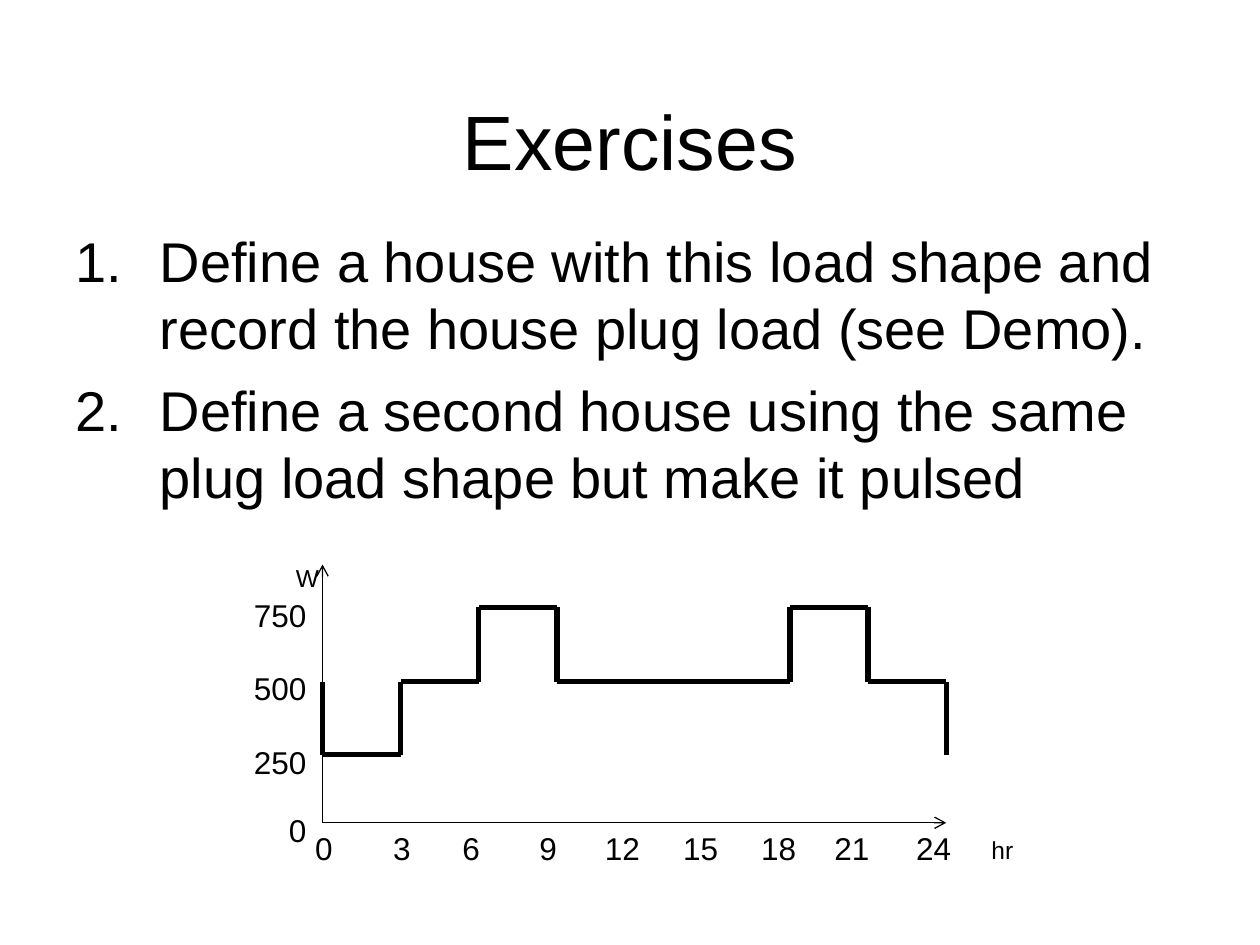
"""Build the Exercises slide with its daily plug load shape."""
import itertools

import lxml.etree
import pptx
import pptx.dml.color
import pptx.enum.shapes
import pptx.enum.text
import pptx.oxml.ns
import pptx.util

Inches = pptx.util.Inches
Pt = pptx.util.Pt
qn = pptx.oxml.ns.qn
ALIGN = pptx.enum.text.PP_ALIGN
ANCHOR = pptx.enum.text.MSO_ANCHOR
AUTO_SIZE = pptx.enum.text.MSO_AUTO_SIZE

BLACK = pptx.dml.color.RGBColor(0x00, 0x00, 0x00)
FONT = "Arial"

EXERCISES = [
    "Define a house with this load shape and record the house plug load (see Demo).",
    "Define a second house using the same plug load shape but make it pulsed",
]
LOAD_SHAPE = [(0, 3, 250), (3, 6, 500), (6, 9, 750), (9, 18, 500), (18, 21, 750), (21, 24, 500)]
WATT_LABELS = [("750", 4.68), ("500", 5.26), ("250", 5.85), ("0", 6.39)]
HOUR_LABELS = [("0", 2.4), ("3", 3.02), ("6", 3.57), ("9", 4.18), ("12", 4.7),
               ("15", 5.32), ("18", 5.94), ("21", 6.52), ("24", 7.17)]
LABEL_WIDTHS = {1: 0.34, 2: 0.48, 3: 0.62}

AXIS_LEFT, AXIS_RIGHT = 2.56, 7.51
AXIS_TOP, AXIS_BOTTOM = 4.48, 6.53


def add_text(p, text, size=18, color=BLACK, align=ALIGN.LEFT):
    p.alignment = align
    r = p.add_run()
    r.text = text
    r.font.name = FONT
    r.font.size = Pt(size)
    r.font.color.rgb = color


class SlideBuilder:
    def __init__(self, slide, color=BLACK):
        self.slide = slide
        self.color = color

    def box(self, left, top, width, height, anchor=ANCHOR.TOP):
        sp = self.slide.shapes.add_textbox(Inches(left), Inches(top), Inches(width), Inches(height))
        tf = sp.text_frame
        tf.word_wrap = True
        tf.vertical_anchor = anchor
        return tf

    def title(self, text):
        tf = self.box(0.5, 0.67, 9, 0.88, anchor=ANCHOR.MIDDLE)
        add_text(tf.paragraphs[0], text, size=44, color=self.color, align=ALIGN.CENTER)

    def numbered_list(self, items):
        tf = self.box(0.5, 1.75, 9, 4.95)
        for i, item in enumerate(items):
            p = tf.add_paragraph() if i else tf.paragraphs[0]
            add_text(p, item, size=32, color=self.color)
            p.space_before = Pt(8)
            pPr = p._p.get_or_add_pPr()
            pPr.set("marL", str(Inches(0.67)))
            pPr.set("indent", str(-Inches(0.67)))
            lxml.etree.SubElement(pPr, qn("a:buFont"), typeface=FONT)
            lxml.etree.SubElement(pPr, qn("a:buAutoNum"), type="arabicPeriod")

    def label(self, text, left, top, width, height=0.4, **fmt):
        tf = self.box(left, top, width, height)
        tf.word_wrap = False
        tf.auto_size = AUTO_SIZE.SHAPE_TO_FIT_TEXT
        add_text(tf.paragraphs[0], text, color=self.color, **fmt)

    def line(self, start, end, weight=3, arrow=False):
        cx = self.slide.shapes.add_connector(
            pptx.enum.shapes.MSO_CONNECTOR.STRAIGHT, *(Inches(v) for v in (*start, *end)))
        cx.line.color.rgb = self.color
        cx.line.width = Pt(weight)
        if arrow:
            lxml.etree.SubElement(cx.line._get_or_add_ln(), qn("a:tailEnd"), type="arrow")
        lxml.etree.SubElement(cx._element.spPr, qn("a:effectLst"))


def chart_point(hour, watts):
    x = AXIS_LEFT + hour * (AXIS_RIGHT - AXIS_LEFT) / 24
    y = 5.99 - (watts - 250) * 1.17 / 500
    return round(x, 2), round(y, 2)


def main():
    prs = pptx.Presentation()
    prs.slide_width, prs.slide_height = Inches(10), Inches(7.5)
    s = SlideBuilder(prs.slides.add_slide(prs.slide_layouts[6]))

    s.title("Exercises")
    s.numbered_list(EXERCISES)

    origin = (AXIS_LEFT, AXIS_BOTTOM)
    s.line(origin, (AXIS_RIGHT, AXIS_BOTTOM), weight=0.75, arrow=True)
    s.line(origin, (AXIS_LEFT, AXIS_TOP), weight=0.75, arrow=True)

    for text, top in WATT_LABELS:
        width = LABEL_WIDTHS[len(text)]
        s.label(text, 2.53 - width, top, width, align=ALIGN.RIGHT)
    for text, left in HOUR_LABELS:
        s.label(text, left, 6.53, LABEL_WIDTHS[len(text)], align=ALIGN.CENTER)
    s.label("W", 2.25, 4.42, 0.38, 0.34, size=14)
    s.label("hr", 7.77, 6.58, 0.37, 0.34, size=14)

    corners = [chart_point(0, 500)]
    for begin, end, watts in LOAD_SHAPE:
        corners += [chart_point(begin, watts), chart_point(end, watts)]
    corners.append(chart_point(24, 250))
    for start, end in itertools.pairwise(corners):
        s.line(start, end)

    prs.save("out.pptx")


if __name__ == "__main__":
    main()
